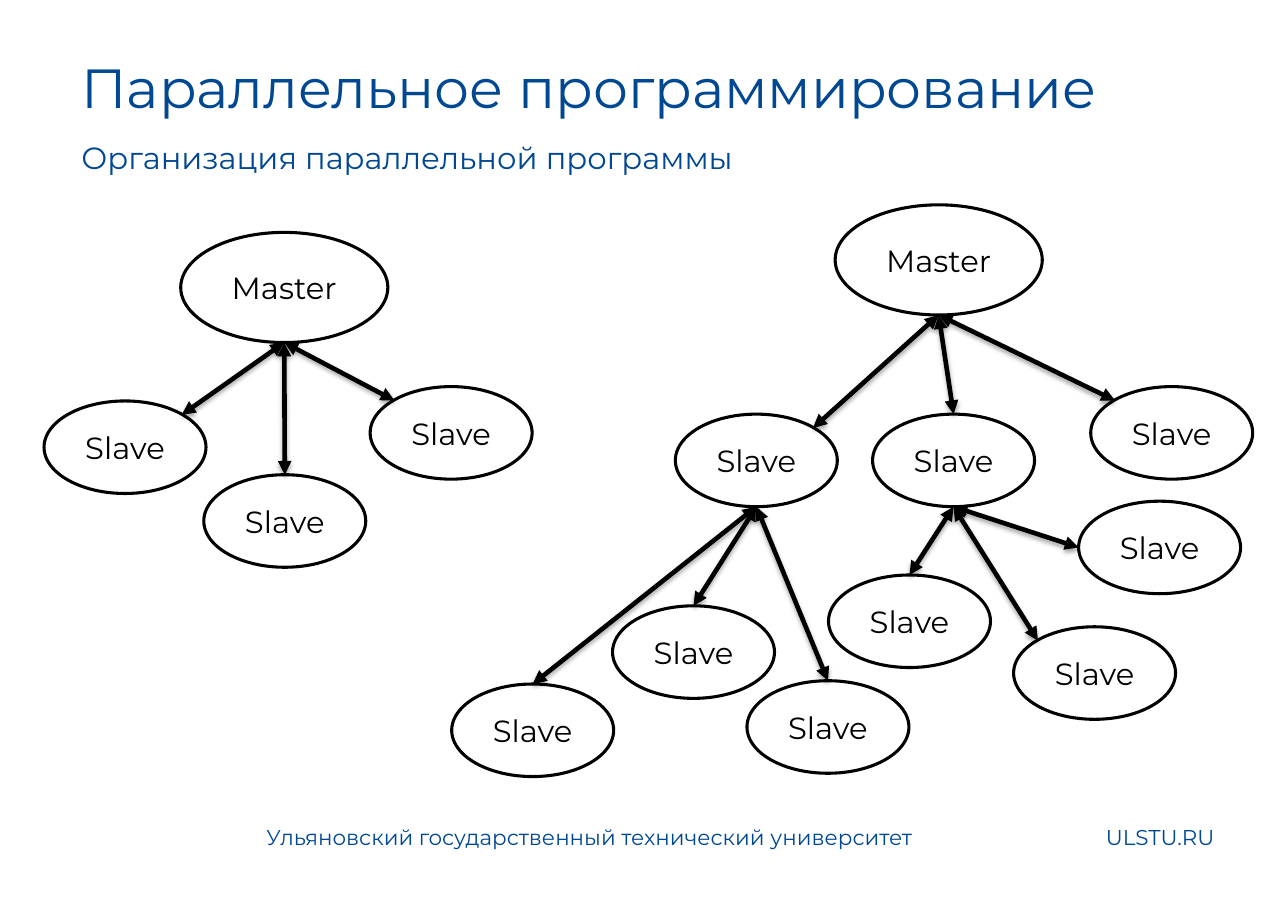
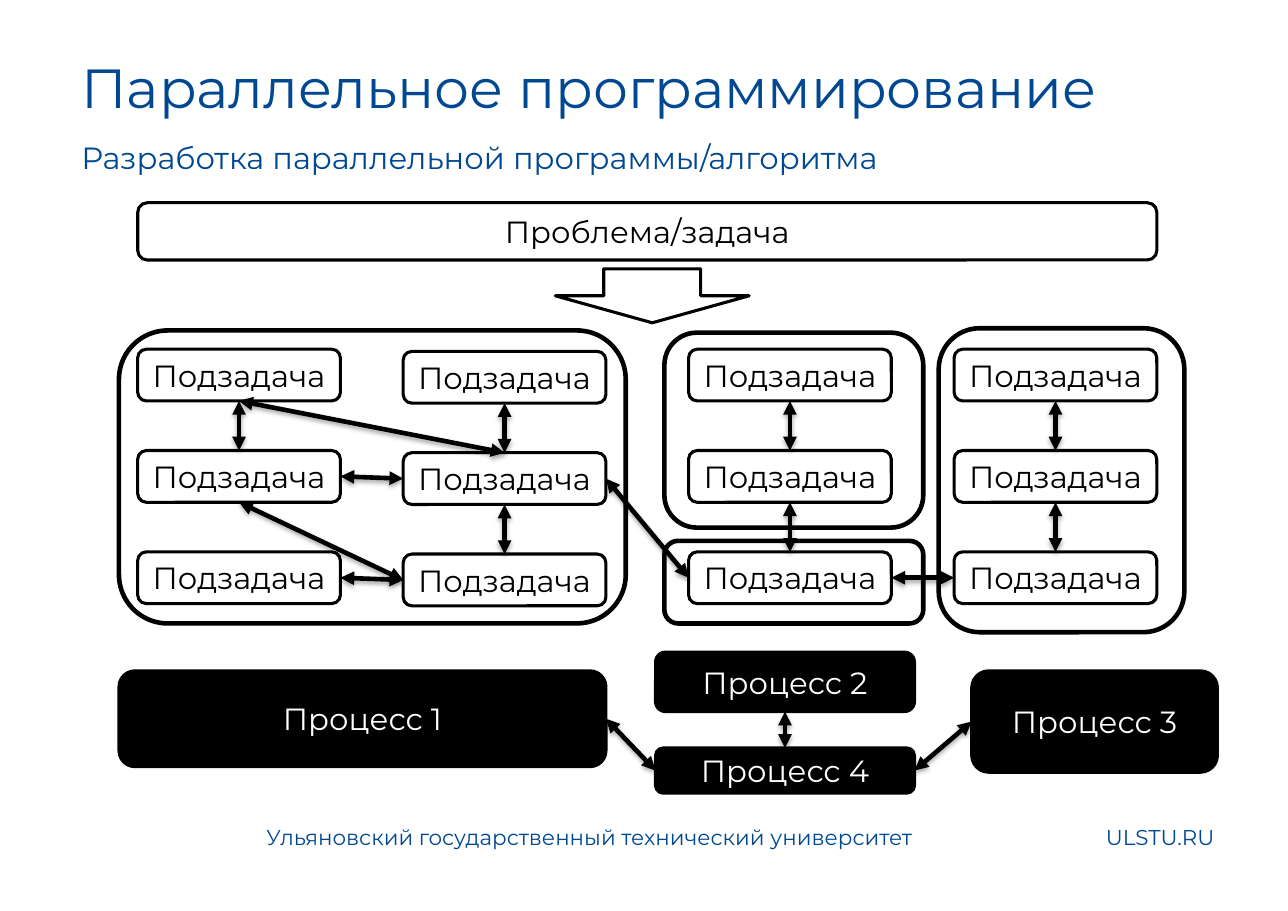
from dataclasses import dataclass

from lxml import etree
from pptx import Presentation
from pptx.dml.color import RGBColor
from pptx.enum.shapes import MSO_CONNECTOR as Connector, MSO_SHAPE as Preset
from pptx.enum.text import MSO_ANCHOR as Anchor, MSO_AUTO_SIZE as AutoSize, PP_ALIGN as Align
from pptx.oxml import parse_xml
from pptx.oxml.ns import nsdecls, qn
from pptx.util import Inches, Pt


@dataclass(frozen=True)
class Theme:
    font: str = "Montserrat"
    blue: RGBColor = RGBColor(0x00, 0x48, 0x92)
    black: RGBColor = RGBColor(0x00, 0x00, 0x00)
    white: RGBColor = RGBColor(0xFF, 0xFF, 0xFF)
    title_size: int = 36
    body_size: int = 20
    footer_size: int = 14
    outline: int = 2
    heavy_line: int = 3


@dataclass(frozen=True)
class Box:
    left: float
    top: float
    width: float
    height: float

    def inner(self, left, top, width, height):
        """Box given relative to this one."""
        return Box(self.left + left, self.top + top, width, height)

    def point(self, across, down):
        """Point at the given fractions of width and height."""
        return self.left + across * self.width, self.top + down * self.height

    def lengths(self):
        return [Inches(value) for value in (self.left, self.top, self.width, self.height)]


THEME = Theme()
PAGE = Box(0, 0, 11.69, 8.27)
TOP, LEFT, BOTTOM, RIGHT = range(4)

# Connection points of an ellipse, as fractions of its box
ELLIPSE_SITES = {
    "top": (0.5, 0), "left": (0, 0.5), "bottom": (0.5, 1),
    "top left": (0.15, 0.15), "top right": (0.85, 0.15),
}

SHADOW = (
    f'<a:effectLst {nsdecls("a")}><a:outerShdw blurRad="39400" dist="22900" dir="5400000" '
    'rotWithShape="0"><a:srgbClr val="000000"><a:alpha val="35000"/></a:srgbClr>'
    '</a:outerShdw></a:effectLst>'
)


# Basic parts
def add_run(paragraph, text, size, color):
    run = paragraph.add_run()
    run.text = text
    run.font.name = THEME.font
    run.font.size = Pt(size)
    run.font.color.rgb = color


def add_label(slide, box, text, size):
    frame = slide.shapes.add_textbox(*box.lengths()).text_frame
    frame.word_wrap = True
    add_run(frame.paragraphs[0], text, size, THEME.blue)


def add_block(slide, preset, box, text="", fill=THEME.white, color=THEME.black,
              weight=THEME.outline):
    shape = slide.shapes.add_shape(preset, *box.lengths())
    shape.shadow.inherit = False
    if fill is None:
        shape.fill.background()
    else:
        shape.fill.solid()
        shape.fill.fore_color.rgb = fill
    shape.line.color.rgb = THEME.black
    shape.line.width = Pt(weight)
    if text:
        frame = shape.text_frame
        frame.word_wrap = True
        frame.vertical_anchor = Anchor.MIDDLE
        frame.paragraphs[0].alignment = Align.CENTER
        add_run(frame.paragraphs[0], text, THEME.body_size, color)
    return shape


def add_arrow(slide, start=(0, 0), end=(0, 0)):
    """Straight double-headed arrow with a soft shadow."""
    arrow = slide.shapes.add_connector(
        Connector.STRAIGHT, *[Inches(value) for value in (*start, *end)])
    arrow.line.color.rgb = THEME.black
    arrow.line.width = Pt(THEME.heavy_line)
    properties = arrow.line._get_or_add_ln()
    for tag in ("a:headEnd", "a:tailEnd"):
        etree.SubElement(properties, qn(tag), type="triangle")
    arrow._element.spPr.append(parse_xml(SHADOW))
    return arrow


def join(slide, first, first_side, second, second_side):
    arrow = add_arrow(slide)
    arrow.begin_connect(first, first_side)
    arrow.end_connect(second, second_side)


# Title, subtitle and footer shared by the slides
def add_page(presentation, subtitle):
    slide = presentation.slides.add_slide(presentation.slide_layouts[5])
    title = slide.shapes.title
    title.left, title.top, title.width, title.height = PAGE.inner(0.64, 0.43, 10.57, 0.79).lengths()
    frame = title.text_frame
    frame.auto_size = AutoSize.NONE
    frame.vertical_anchor = Anchor.MIDDLE
    paragraph = frame.paragraphs[0]
    paragraph.alignment = Align.LEFT
    paragraph.line_spacing = 0.9
    add_run(paragraph, "Параллельное программирование", THEME.title_size, THEME.blue)

    add_label(slide, PAGE.inner(2.32, 7.43, 6.2, 0.39),
              "Ульяновский государственный технический университет", THEME.footer_size)
    add_label(slide, PAGE.inner(9.94, 7.43, 1.4, 0.39), "ULSTU.RU", THEME.footer_size)
    add_label(slide, PAGE.inner(0.64, 1.21, 10.57, 0.59), subtitle, THEME.body_size)
    return slide


# Tree of one master and its slaves
def add_tree(slide, area, master, slaves):
    """Each slave is: name, parent, left, top, site where its arrow ends."""
    nodes = {"master": area.inner(*master, 1.88, 1)}
    for name, _, left, top, _ in slaves:
        nodes[name] = area.inner(left, top, 1.47, 0.84)
    for name, box in nodes.items():
        add_block(slide, Preset.OVAL, box, "Master" if name == "master" else "Slave")
    for name, parent, _, _, site in slaves:
        add_arrow(slide, nodes[parent].point(*ELLIPSE_SITES["bottom"]),
                  nodes[name].point(*ELLIPSE_SITES[site]))


def build_organization(presentation):
    slide = add_page(presentation, "Организация параллельной программы")
    # One level
    add_tree(slide, Box(0.4, 2.11, 4.43, 3.04), (1.24, 0), [
        ("a", "master", 0, 1.53, "top right"),
        ("b", "master", 1.45, 2.2, "top"),
        ("c", "master", 2.96, 1.4, "top left"),
    ])
    # Two levels
    add_tree(slide, Box(4.1, 1.86, 7.27, 5.19), (3.48, 0), [
        ("a", "master", 2.03, 1.9, "top right"),
        ("b", "master", 3.82, 1.9, "top"),
        ("c", "master", 5.8, 1.65, "top left"),
        ("a1", "a", 0, 4.35, "top"),
        ("a2", "a", 1.46, 3.64, "top"),
        ("a3", "a", 2.68, 4.32, "top"),
        ("b1", "b", 3.42, 3.36, "top"),
        ("b2", "b", 5.1, 3.83, "top left"),
        ("b3", "b", 5.69, 2.69, "left"),
    ])


# Problem bar and the arrow below it
def add_problem(slide, area):
    add_block(slide, Preset.ROUNDED_RECTANGLE, area.inner(0, 0, area.width, 0.52),
              "Проблема/задача")
    add_block(slide, Preset.DOWN_ARROW, area.inner(3.79, 0.6, 1.76, 0.49))


# Grid of subtasks, their links and the frames that group them
def add_subtasks(slide, area):
    columns = [(0, 0), (2.41, 0.02), (5, 0), (7.41, 0)]
    tasks = {}
    for row in range(3):
        for column, (left, shift) in enumerate(columns):
            box = area.inner(left, row * 0.92 + shift, 1.84, 0.47)
            tasks[column, row] = add_block(slide, Preset.ROUNDED_RECTANGLE, box, "Подзадача")

    links = [((column, row), BOTTOM, (column, row + 1), TOP)
             for column in range(4) for row in range(2) if (column, row) != (0, 1)]
    links += [
        ((0, 0), BOTTOM, (1, 1), TOP),
        ((0, 1), RIGHT, (1, 1), LEFT),
        ((0, 1), BOTTOM, (1, 2), LEFT),
        ((0, 2), RIGHT, (1, 2), LEFT),
        ((1, 1), RIGHT, (2, 2), LEFT),
        ((2, 2), RIGHT, (3, 2), LEFT),
    ]
    for first, first_side, second, second_side in links:
        join(slide, tasks[first], first_side, tasks[second], second_side)

    frames = [(-0.17, -0.17, 4.6, 2.66), (4.78, -0.15, 2.35, 1.77),
              (7.27, -0.19, 2.23, 2.76), (4.78, 1.74, 2.35, 0.75)]
    for frame in frames:
        add_block(slide, Preset.ROUNDED_RECTANGLE, area.inner(*frame),
                  fill=None, weight=THEME.heavy_line)


# Processes that the groups are assigned to
def add_processes(slide, area):
    places = [(0, 0.17, 4.42, 0.87), (4.87, 0, 2.35, 0.54),
              (7.74, 0.17, 2.23, 0.92), (4.87, 0.87, 2.35, 0.41)]
    first, second, third, fourth = [
        add_block(slide, Preset.ROUNDED_RECTANGLE, area.inner(*place), f"Процесс {number}",
                  fill=THEME.black, color=THEME.white)
        for number, place in enumerate(places, 1)
    ]
    join(slide, first, RIGHT, fourth, LEFT)
    join(slide, second, BOTTOM, fourth, TOP)
    join(slide, third, LEFT, fourth, RIGHT)


def build_development(presentation):
    slide = add_page(presentation, "Разработка параллельной программы/алгоритма")
    add_problem(slide, Box(1.25, 1.84, 9.25, 1.09))
    add_subtasks(slide, Box(1.25, 3.17, 9.25, 2.33))
    add_processes(slide, Box(1.08, 5.92, 9.97, 1.28))


def main():
    presentation = Presentation()
    presentation.slide_width = Inches(PAGE.width)
    presentation.slide_height = Inches(PAGE.height)
    build_organization(presentation)
    build_development(presentation)
    presentation.save("out.pptx")


if __name__ == "__main__":
    main()
